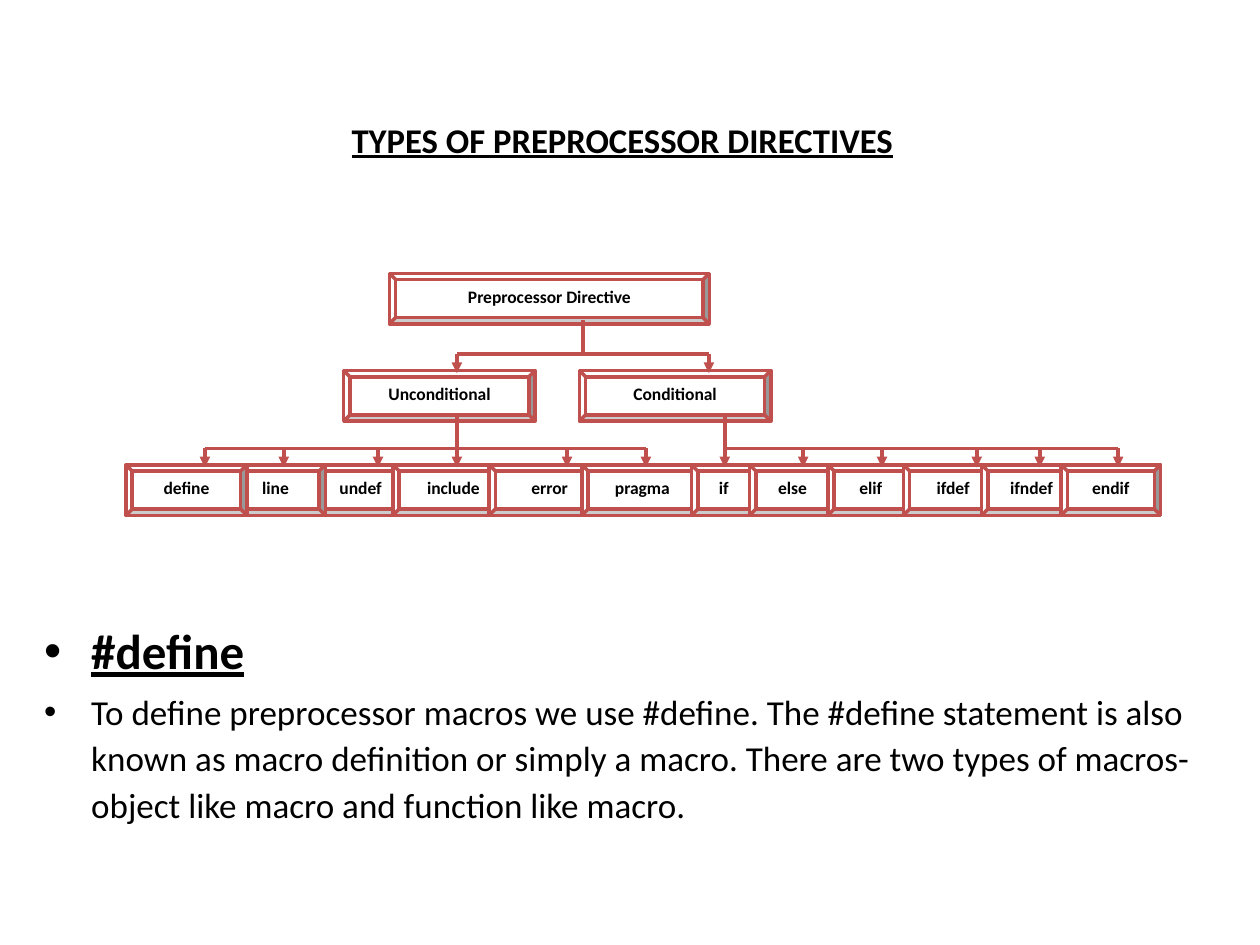
from dataclasses import dataclass

import lxml.etree
import pptx
import pptx.dml.color
import pptx.enum.shapes
import pptx.enum.text
import pptx.oxml.ns
import pptx.util

Cm = pptx.util.Cm
Pt = pptx.util.Pt
qn = pptx.oxml.ns.qn
RED = "C0504D"
BLACK = "000000"
WHITE = "FFFFFF"
BOX_HEIGHT = 1.02
ROOT_TOP, BRANCH_TOP, LEAF_TOP = 5.51, 7.47, 9.37
ARROW_LENGTH = 0.38


@dataclass
class Node:
    label: str
    left: float
    top: float
    width: float


@dataclass
class Fork:
    stem_x: float
    stem_top: float
    bar_y: float
    drops: list[float]


@dataclass
class Bullet:
    text: str
    size: float
    bold: bool


NODES = [
    Node("Preprocessor Directive", 7.85, ROOT_TOP, 6.45),
    Node("Unconditional", 6.93, BRANCH_TOP, 3.86),
    Node("Conditional", 11.68, BRANCH_TOP, 3.86),
    Node("undef", 6.05, LEAF_TOP, 2.44),
    Node("include", 7.92, LEAF_TOP, 2.44),
    Node("line", 4.55, LEAF_TOP, 2.01),
    Node("error", 9.86, LEAF_TOP, 2.44),
    Node("pragma", 11.73, LEAF_TOP, 2.44),
    Node("define", 2.54, LEAF_TOP, 2.44),
    Node("if", 13.94, LEAF_TOP, 1.3),
    Node("else", 15.11, LEAF_TOP, 1.73),
    Node("elif", 16.69, LEAF_TOP, 1.73),
    Node("ifdef", 18.21, LEAF_TOP, 2.01),
    Node("ifndef", 19.79, LEAF_TOP, 2.01),
    Node("endif", 21.39, LEAF_TOP, 2.01),
]
FORKS = [
    Fork(11.75, 6.45, 7.14, [9.21, 14.29]),
    Fork(9.21, 8.41, 9.04, [4.13, 5.72, 7.62, 9.21, 11.43, 13.02]),
    Fork(14.61, 8.41, 9.04, [14.61, 16.19, 17.78, 19.69, 20.96, 22.54]),
]
BULLETS = [
    Bullet("#define", 28, True),
    Bullet(
        "To define preprocessor macros we use #define. The #define statement is also "
        "known as macro definition or simply a macro. There are two types of macros- "
        "object like macro and function like macro.",
        20,
        False,
    ),
]


def color(value: str) -> pptx.dml.color.RGBColor:
    return pptx.dml.color.RGBColor.from_string(value)


def add_span(para, text: str, size: float, bold: bool, underline: bool = False) -> None:
    span = para.add_run()
    span.text = text
    span.font.name = "Calibri"
    span.font.size = Pt(size)
    span.font.bold = bold
    span.font.underline = underline
    span.font.color.rgb = color(BLACK)


def draw_title(page) -> None:
    title = page.shapes.title
    title.left, title.top, title.width, title.height = Cm(1.27), Cm(2.11), Cm(22.86), Cm(0.84)
    title.text_frame.auto_size = pptx.enum.text.MSO_AUTO_SIZE.NONE
    title.text_frame.vertical_anchor = pptx.enum.text.MSO_ANCHOR.MIDDLE
    para = title.text_frame.paragraphs[0]
    para.alignment = pptx.enum.text.PP_ALIGN.CENTER
    add_span(para, "TYPES OF PREPROCESSOR DIRECTIVES", 19.8, True, True)
    add_span(para, " ", 39.6, False)


def draw_node(page, node: Node) -> None:
    box = page.shapes.add_shape(
        pptx.enum.shapes.MSO_SHAPE.BEVEL,
        Cm(node.left), Cm(node.top), Cm(node.width), Cm(BOX_HEIGHT),
    )
    box.shadow.inherit = False
    box.fill.solid()
    box.fill.fore_color.rgb = color(WHITE)
    box.line.color.rgb = color(RED)
    box.line.width = Pt(2)
    box.text_frame.vertical_anchor = pptx.enum.text.MSO_ANCHOR.TOP
    para = box.text_frame.paragraphs[0]
    para.alignment = pptx.enum.text.PP_ALIGN.CENTER
    add_span(para, node.label, 10, True)


def draw_line(page, x1: float, y1: float, x2: float, y2: float, arrow: bool = False) -> None:
    line = page.shapes.add_connector(
        pptx.enum.shapes.MSO_CONNECTOR.STRAIGHT, Cm(x1), Cm(y1), Cm(x2), Cm(y2)
    )
    line.line.color.rgb = color(RED)
    line.line.width = Pt(2)
    properties = line._element.spPr
    if arrow:
        lxml.etree.SubElement(properties.find(qn("a:ln")), qn("a:tailEnd"), type="triangle")
    lxml.etree.SubElement(properties, qn("a:effectLst"))


def draw_fork(page, fork: Fork) -> None:
    draw_line(page, fork.stem_x, fork.bar_y, fork.stem_x, fork.stem_top)
    draw_line(page, fork.drops[0], fork.bar_y, fork.drops[-1], fork.bar_y)
    for x in fork.drops:
        draw_line(page, x, fork.bar_y, x, fork.bar_y + ARROW_LENGTH, True)


def draw_bullets(page, bullets: list[Bullet]) -> None:
    box = page.shapes.add_textbox(Cm(0.64), Cm(12.27), Cm(24.13), Cm(5.79))
    frame = box.text_frame
    frame.word_wrap = True
    for index, bullet in enumerate(bullets):
        para = frame.add_paragraph() if index else frame.paragraphs[0]
        para.line_spacing = 1.1
        para.space_before = Pt(bullet.size * 0.2)
        properties = para._p.get_or_add_pPr()
        properties.set("marL", str(Cm(0.95)))
        properties.set("indent", str(-Cm(0.95)))
        lxml.etree.SubElement(properties, qn("a:buFont"), typeface="Arial")
        lxml.etree.SubElement(properties, qn("a:buChar"), char="•")
        add_span(para, bullet.text, bullet.size, bullet.bold, bullet.bold)


def build() -> None:
    deck = pptx.Presentation()
    deck.slide_width, deck.slide_height = Cm(25.4), Cm(19.05)
    page = deck.slides.add_slide(deck.slide_layouts[5])
    draw_title(page)
    draw_bullets(page, BULLETS)
    for node in NODES:
        draw_node(page, node)
    for fork in FORKS:
        draw_fork(page, fork)
    deck.save("out.pptx")


build()
